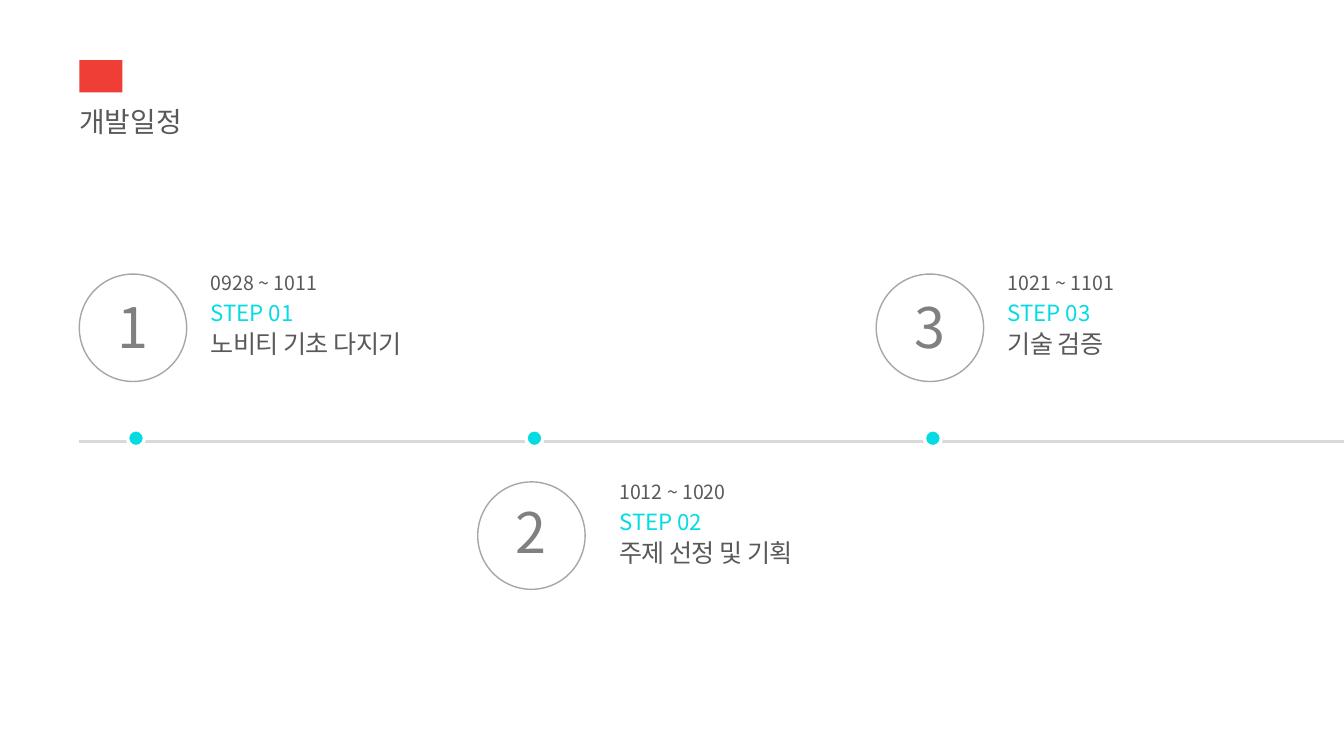
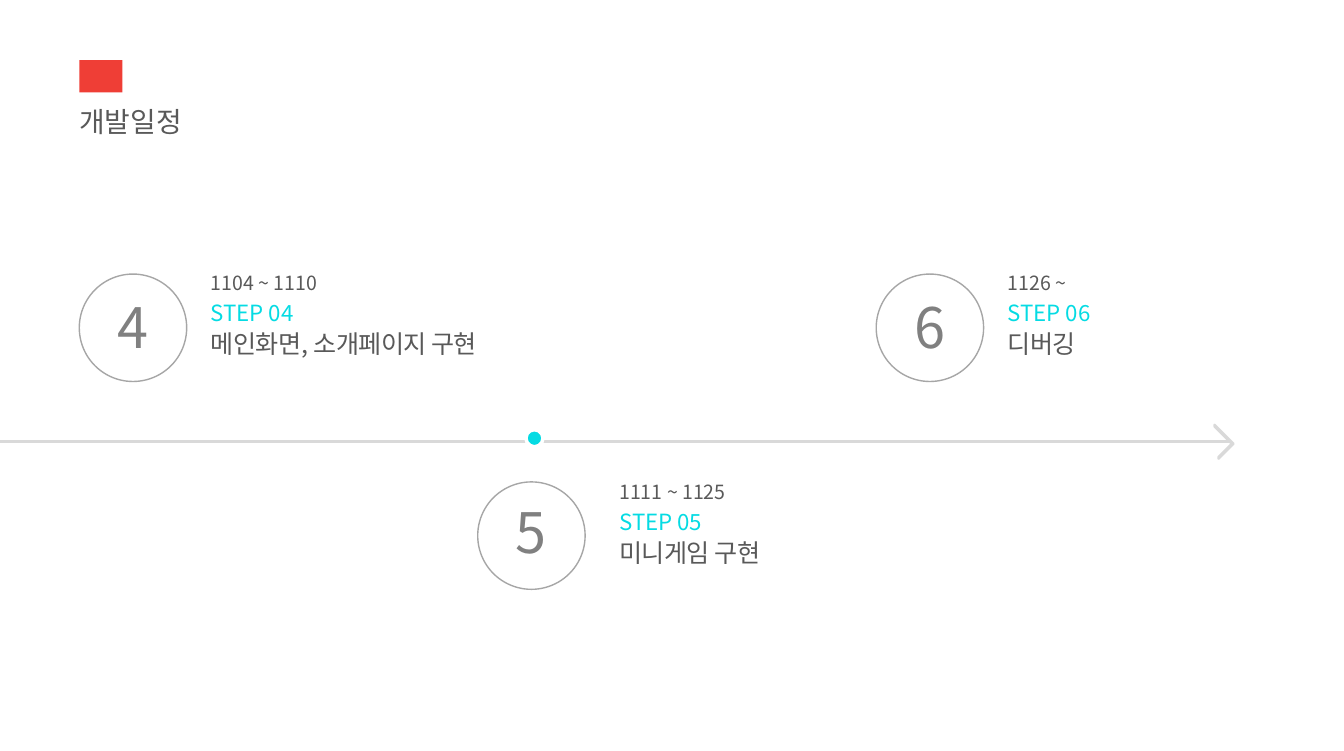
from pptx import Presentation
from pptx.dml.color import RGBColor
from pptx.enum.shapes import MSO_CONNECTOR, MSO_SHAPE
from pptx.enum.text import MSO_AUTO_SIZE, PP_ALIGN
from pptx.oxml.ns import qn
from pptx.util import Inches, Pt
from lxml.etree import SubElement

W, H = 13.39, 7.48
FONT = "Noto Sans CJK KR"
COLORS = {
    "white": "FFFFFF", "text": "595959", "digit": "808080", "ring": "A6A6A6",
    "axis": "D9D9D9", "cyan": "05DBE3", "red": "EF3E36",
}
MARGIN = 0.79
PITCH = 3.97
RING = 1.07
DOT = 0.17
AXIS_Y = 4.4
UPPER_Y, LOWER_Y = 2.73, 4.8
TITLE = "개발일정"

SLIDES = [
    {"steps": [("0928 ~ 1011", "노비티 기초 다지기"),
               ("1012 ~ 1020", "주제 선정 및 기획"),
               ("1021 ~ 1101", "기술 검증")],
     "dots": (0, 1, 2), "axis": (MARGIN, W), "arrow": False},
    {"steps": [("1104 ~ 1110", "메인화면, 소개페이지 구현"),
               ("1111 ~ 1125", "미니게임 구현"),
               ("1126 ~", "디버깅")],
     "dots": (1,), "axis": (0, 12.25), "arrow": True},
]


def rgb(name):
    return RGBColor.from_string(COLORS[name])


def paint(sp, fill=None, line=None, width=1):
    sp.shadow.inherit = False
    if fill:
        sp.fill.solid()
        sp.fill.fore_color.rgb = rgb(fill)
    else:
        sp.fill.background()
    if line:
        sp.line.color.rgb = rgb(line)
        sp.line.width = Pt(width)
    else:
        sp.line.fill.background()


def add_shape(s, kind, x, y, w, h, **style):
    sp = s.shapes.add_shape(kind, Inches(x), Inches(y), Inches(w), Inches(h))
    paint(sp, **style)


def add_text(s, text, x, y, w, h, size=14, color="text", align=None,
             inset=0, wrap=True, spacing=0.9, before=0, tracking=None):
    tf = s.shapes.add_textbox(Inches(x), Inches(y), Inches(w), Inches(h)).text_frame
    tf.word_wrap = wrap
    tf.auto_size = MSO_AUTO_SIZE.SHAPE_TO_FIT_TEXT
    tf.margin_left = tf.margin_right = Inches(inset)
    tf.margin_top = tf.margin_bottom = Inches(inset / 2)
    p = tf.paragraphs[0]
    p.alignment = align
    p.line_spacing = spacing
    p.space_before = Pt(before)
    r = p.add_run()
    r.text = text
    r.font.size = Pt(size)
    r.font.name = FONT
    r.font.color.rgb = rgb(color)
    props = r._r.get_or_add_rPr()
    SubElement(props, qn("a:ea")).set("typeface", FONT)
    if tracking:
        props.set("spc", str(round(tracking * 100)))


def add_header(s, x, y):
    add_shape(s, MSO_SHAPE.RECTANGLE, x, y + 0.02, 0.43, 0.32, fill="red")
    add_text(s, TITLE, x, y + 0.5, W - 2 * MARGIN, 0.3, size=20, before=10)


def add_axis(s, start, end, y, arrow):
    line = s.shapes.add_connector(MSO_CONNECTOR.STRAIGHT, Inches(start), Inches(y),
                                  Inches(end), Inches(y))
    line.line.color.rgb = rgb("axis")
    line.line.width = Pt(2)
    SubElement(line._element.spPr, qn("a:effectLst"))
    if arrow:
        head = [(-0.15, -0.17), (0.04, 0.02), (-0.11, 0.17),
                (-0.11, 0.15), (0.02, 0.02), (-0.15, -0.15)]
        pts = [(Inches(end + dx), Inches(y + dy)) for dx, dy in head]
        fb = s.shapes.build_freeform(*pts[0])
        fb.add_line_segments(pts[1:], close=True)
        paint(fb.convert_to_shape(), fill="axis", line="axis", width=1.5)


def add_step(s, number, date, task, x, y, lower):
    add_shape(s, MSO_SHAPE.OVAL, x, y, RING, RING, line="ring")
    add_text(s, str(number), x + 0.28, y + (0.11 if lower else 0.14), 0.49, 0.77,
             size=40, color="digit", align=PP_ALIGN.CENTER, inset=0.1,
             wrap=False, spacing=1)
    left, top = (x + 1.41, y + 0.01) if lower else (x + 1.31, y)
    add_text(s, date, left, top, 2.5, 0.21, before=10)
    add_text(s, f"STEP {number:02}", left, top + 0.28, 2.5, 0.24,
             size=16, color="cyan", before=10)
    add_text(s, task, left, top + 0.58, 3.14, 0.27, size=18, tracking=-0.4)


def add_schedule(prs, first, steps, dots, axis, arrow):
    s = prs.slides.add_slide(prs.slide_layouts[6])
    add_header(s, MARGIN, 0.58)
    add_axis(s, *axis, AXIS_Y, arrow)
    for i, (date, task) in enumerate(steps):
        x = MARGIN + i * PITCH
        lower = i % 2 == 1
        add_step(s, first + i, date, task, x, LOWER_Y if lower else UPPER_Y, lower)
        if i in dots:
            add_shape(s, MSO_SHAPE.OVAL, x + 0.48, AXIS_Y - 0.12, DOT, DOT,
                      fill="cyan", line="white", width=2.5)


def main():
    prs = Presentation()
    prs.slide_width, prs.slide_height = Inches(W), Inches(H)
    first = 1
    for content in SLIDES:
        add_schedule(prs, first, **content)
        first += len(content["steps"])
    prs.save("out.pptx")


if __name__ == "__main__":
    main()
